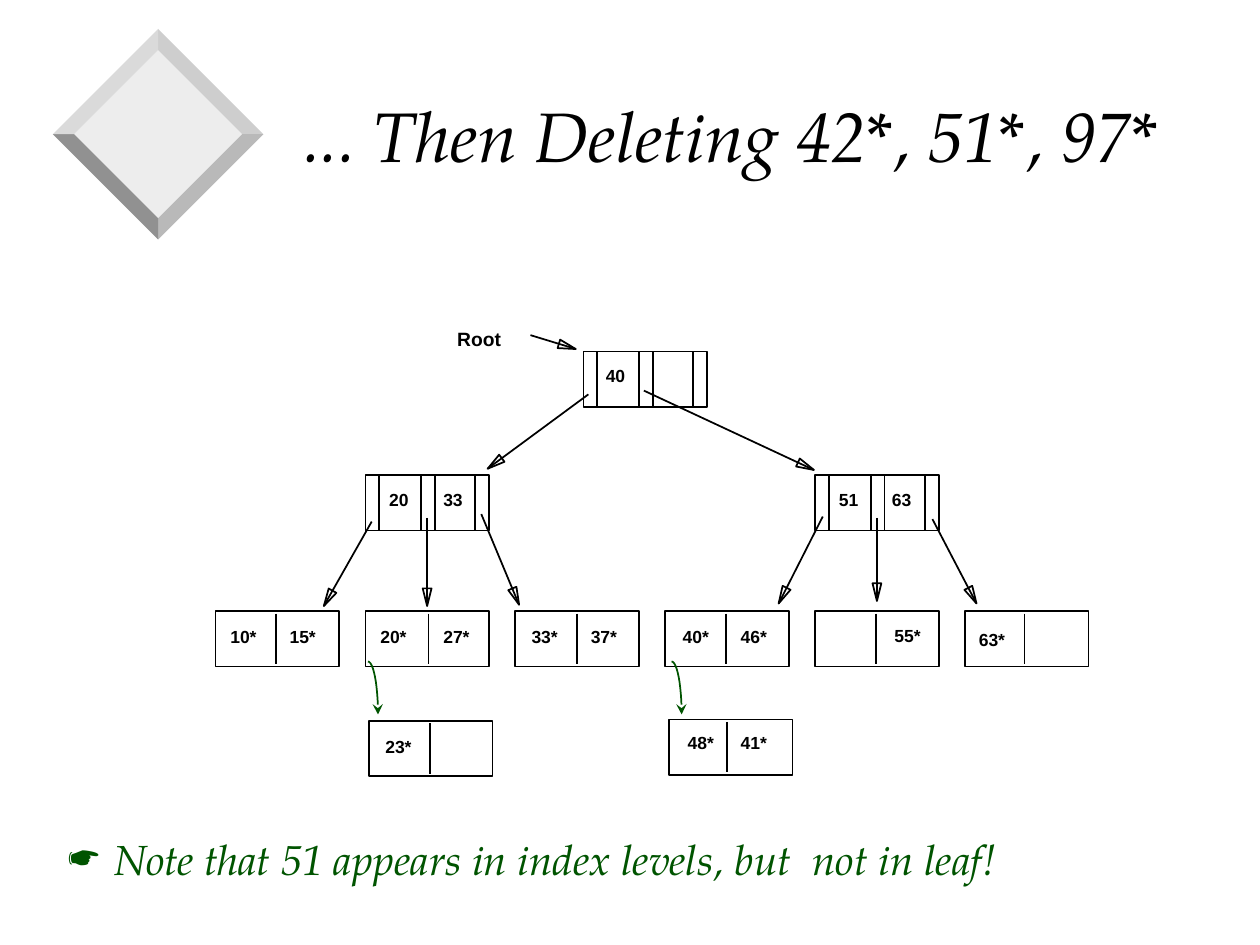
import math
from dataclasses import dataclass

from lxml import etree
from pptx import Presentation
from pptx.dml.color import RGBColor
from pptx.enum.shapes import MSO_CONNECTOR, MSO_SHAPE
from pptx.enum.text import MSO_ANCHOR
from pptx.oxml.ns import qn
from pptx.util import Inches, Pt

STRAIGHT = MSO_CONNECTOR.STRAIGHT
RECTANGLE = MSO_SHAPE.RECTANGLE
MIDDLE = MSO_ANCHOR.MIDDLE


@dataclass(frozen=True)
class Theme:
    ink: str = "000000"
    accent: str = "005400"
    face: str = "EDEDED"
    bevels: tuple = ("CECECE", "B9B9B9", "919191", "DADADA")
    serif: str = "TeX Gyre Pagella"
    sans: str = "Arial"
    title_size: int = 40
    note_size: int = 24
    root_size: int = 11
    key_size: int = 10
    line_width: int = 1


THEME = Theme()
NODE_WIDTH, NODE_HEIGHT = 0.98, 0.44
LEAF_LEFT, LEAF_TOP, LEAF_PITCH = 1.71, 4.85, 1.19

# Left, top, keys with their offset across the node
INDEX_NODES = [
    (4.63, 2.79, [("40", 0.08)]),
    (2.90, 3.77, [("20", 0.09), ("33", 0.52)]),
    (6.47, 3.77, [("51", 0.09), ("63", 0.51)]),
]
# Divider offset, key drop, keys with their offset across the leaf
LEAVES = [
    (0.48, 0.07, [("10*", 0.02), ("15*", 0.49)]),
    (0.50, 0.07, [("20*", 0.02), ("27*", 0.52)]),
    (0.49, 0.07, [("33*", 0.03), ("37*", 0.50)]),
    (0.48, 0.07, [("40*", 0.04), ("46*", 0.50)]),
    (0.48, 0.06, [("55*", 0.53)]),
    (0.47, 0.09, [("63*", 0.01)]),
]
# Left, top, then as for a leaf
OVERFLOW_PAGES = [
    (2.93, 5.72, 0.48, 0.07, [("23*", 0.03)]),
    (5.31, 5.71, 0.46, 0.05, [("48*", 0.05), ("41*", 0.47)]),
]
POINTERS = [
    ((4.21, 2.66), (4.57, 2.77)),
    ((4.67, 3.13), (3.87, 3.72)),
    ((5.11, 3.10), (6.46, 3.73)),
    ((2.95, 4.14), (2.57, 4.81)),
    ((3.39, 4.11), (3.39, 4.81)),
    ((3.82, 4.08), (4.12, 4.80)),
    ((6.53, 4.10), (6.18, 4.79)),
    ((6.96, 4.11), (6.96, 4.77)),
    ((7.40, 4.12), (7.75, 4.79)),
]
OVERFLOW_LINKS = [(2.92, 5.25), (5.33, 5.25)]


def color(value):
    return RGBColor.from_string(value)


def set_line(shape, value=THEME.ink):
    shape.line.color.rgb = color(value)
    shape.line.width = Pt(THEME.line_width)


def add_outline(slide, points, fill=None, line=None, close=True):
    corners = [(Inches(x), Inches(y)) for x, y in points]
    builder = slide.shapes.build_freeform(*corners[0], scale=1.0)
    builder.add_line_segments(corners[1:], close=close)
    shape = builder.convert_to_shape()
    shape.shadow.inherit = False
    if fill:
        shape.fill.solid()
        shape.fill.fore_color.rgb = color(fill)
    else:
        shape.fill.background()
    if line:
        set_line(shape, line)
    else:
        shape.line.fill.background()
    return shape


def add_line(slide, start, end):
    connector = slide.shapes.add_connector(
        STRAIGHT, *(Inches(value) for value in (*start, *end)))
    set_line(connector)
    etree.SubElement(connector._element.spPr, qn("a:effectLst"))


def add_text(slide, box, text, size, font, ink=THEME.ink, wrap=False,
             bold=False, italic=False):
    shape = slide.shapes.add_textbox(*(Inches(value) for value in box))
    frame = shape.text_frame
    frame.word_wrap = wrap
    frame.text = text
    run_font = frame.paragraphs[0].runs[0].font
    run_font.name, run_font.size = font, Pt(size)
    run_font.bold, run_font.italic = bold, italic
    run_font.color.rgb = color(ink)
    return frame


def add_diamond(slide, left, top, size):
    """Draw a bevelled diamond: four facets round a flat face."""
    half = size / 2
    center_x, center_y = left + half, top + half

    def corners(radius):
        return [(center_x + radius * x, center_y + radius * y)
                for x, y in ((0, -1), (1, 0), (0, 1), (-1, 0))]

    outer, inner = corners(half), corners(half * 0.8)
    add_outline(slide, inner, THEME.face)
    for i, fill in enumerate(THEME.bevels):
        j = (i + 1) % 4
        add_outline(slide, [inner[i], outer[i], outer[j], inner[j]], fill)


def add_title(slide, box):
    frame = add_text(slide, box, "... Then Deleting 42*, 51*, 97*",
                     THEME.title_size, THEME.serif, wrap=True, italic=True)
    frame.vertical_anchor = MIDDLE
    properties = frame.paragraphs[0]._p.get_or_add_pPr()
    properties.set("marL", str(Inches(1.39)))
    properties.set("indent", "0")


def add_note(slide, box):
    frame = add_text(
        slide, box, "Note that 51 appears in index levels, but  not in leaf!",
        THEME.note_size, THEME.serif, THEME.accent, wrap=True, italic=True)
    properties = frame.paragraphs[0]._p.get_or_add_pPr()
    properties.set("marL", str(Inches(0.37)))
    properties.set("indent", str(-Inches(0.37)))
    bullet_color = etree.SubElement(properties, qn("a:buClr"))
    etree.SubElement(bullet_color, qn("a:srgbClr"), val=THEME.accent)
    etree.SubElement(properties, qn("a:buChar"), char="☛")


def add_node(slide, left, top, dividers, inset, key_drop, keys):
    """Draw a page frame, its dividers (inset at both ends) and its keys."""
    frame = slide.shapes.add_shape(
        RECTANGLE, Inches(left), Inches(top),
        Inches(NODE_WIDTH), Inches(NODE_HEIGHT))
    frame.shadow.inherit = False
    frame.fill.background()
    set_line(frame)
    for offset in dividers:
        x = left + offset
        add_line(slide, (x, top + inset), (x, top + NODE_HEIGHT - inset))
    for key, offset in keys:
        width = 0.41 if key.endswith("*") else 0.36
        add_text(slide, (left + offset, top + key_drop, width, 0.27), key,
                 THEME.key_size, THEME.sans, bold=True)


def add_pointer(slide, start, end, length=0.14, half_width=0.035):
    """Draw a line that ends in a hollow triangle."""
    add_line(slide, start, end)
    angle = math.atan2(end[1] - start[1], end[0] - start[0])
    along_x, along_y = math.cos(angle), math.sin(angle)
    base_x, base_y = end[0] - length * along_x, end[1] - length * along_y
    sides = [(base_x - side * along_y, base_y + side * along_x)
             for side in (half_width, -half_width)]
    add_outline(slide, [sides[0], end, sides[1]], line=THEME.ink)


def add_overflow_link(slide, left, top, width=0.08, height=0.42, steps=12):
    """Draw a quarter ellipse that bends down to an arrowhead."""
    angles = [math.pi / 2 * step / steps for step in range(steps + 1)]
    points = [(left + width * math.sin(a), top + height * (1 - math.cos(a)))
              for a in angles]
    shape = add_outline(slide, points, line=THEME.accent, close=False)
    etree.SubElement(shape.line._get_or_add_ln(), qn("a:tailEnd"),
                     type="stealth")


def add_tree(slide):
    for left, top, keys in INDEX_NODES:
        add_node(slide, left, top, (0.11, 0.44, 0.55, 0.87), 0, 0.06, keys)
    leaves = [(LEAF_LEFT + i * LEAF_PITCH, LEAF_TOP, *leaf)
              for i, leaf in enumerate(LEAVES)]
    for left, top, divider, key_drop, keys in leaves + OVERFLOW_PAGES:
        add_node(slide, left, top, (divider,), 0.02, key_drop, keys)
    for start, end in POINTERS:
        add_pointer(slide, start, end)
    for left, top in OVERFLOW_LINKS:
        add_overflow_link(slide, left, top)
    add_text(slide, (3.53, 2.55, 0.55, 0.28), "Root",
             THEME.root_size, THEME.sans, bold=True)


def main():
    presentation = Presentation()
    presentation.slide_width, presentation.slide_height = Inches(10), Inches(7.5)
    slide = presentation.slides.add_slide(presentation.slide_layouts[6])
    add_diamond(slide, 0.42, 0.23, 1.67)
    add_title(slide, (0.92, 0.46, 8.5, 1.21))
    add_note(slide, (0.44, 6.57, 8.58, 0.5))
    add_tree(slide)
    presentation.save("out.pptx")


if __name__ == "__main__":
    main()
